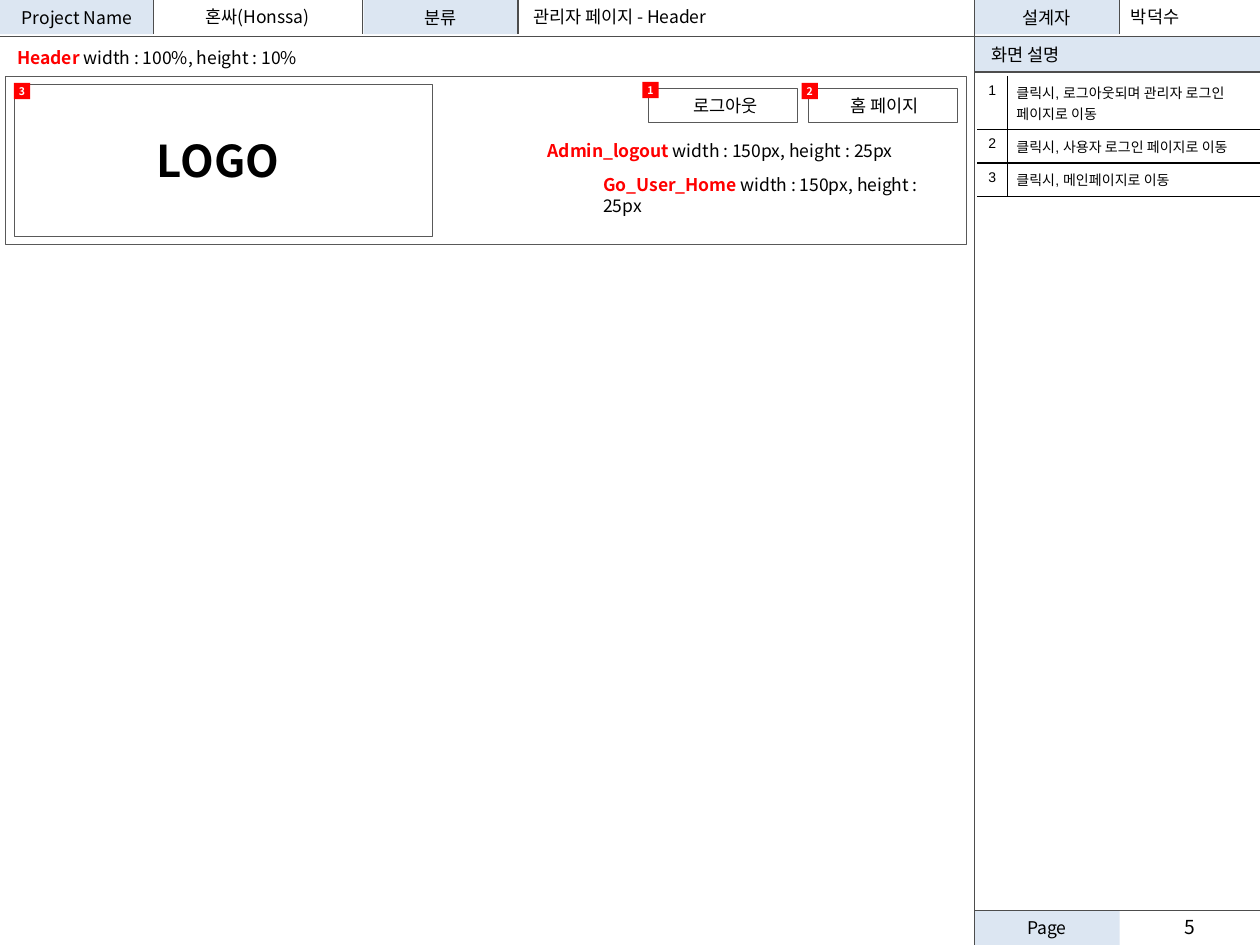
from lxml.etree import SubElement
from pptx import Presentation
from pptx.dml.color import RGBColor
from pptx.enum.shapes import MSO_CONNECTOR, MSO_SHAPE
from pptx.enum.text import MSO_ANCHOR, MSO_AUTO_SIZE, PP_ALIGN
from pptx.oxml import parse_xml
from pptx.oxml.ns import nsdecls, qn
from pptx.util import Cm, Pt

COLORS = {"label": "DCE6F2", "rule": "4D4D4D", "frame": "595959", "red": "FF0000",
          "white": "FFFFFF", "black": "000000"}
SANS = "Noto Sans CJK KR"
W, H = 25.4, 19.05
SIDE_X = 19.64
BAR_H = 0.69
LEFT, CENTER = PP_ALIGN.LEFT, PP_ALIGN.CENTER


def rgb(name):
    return RGBColor.from_string(COLORS[name])


def write(tf, *runs, size=10, font=SANS, color="black", bold=False, align=LEFT,
          anchor=MSO_ANCHOR.TOP, insets=(0.25, 0.13, 0.25, 0.13)):
    """Fill a text frame; a run is a string or a (string, colour, bold) tuple."""
    tf.word_wrap = True
    tf.auto_size = MSO_AUTO_SIZE.NONE
    tf.vertical_anchor = anchor
    tf.margin_left, tf.margin_top, tf.margin_right, tf.margin_bottom = map(Cm, insets)
    add_runs(tf, runs, size, font, color, bold, align)


def add_runs(tf, runs, size, font, color, bold, align):
    p = tf.paragraphs[0]
    p.alignment = align
    for run in runs:
        text, run_color, run_bold = (run, color, bold) if isinstance(run, str) else run
        r = p.add_run()
        r.text = text
        r.font.size, r.font.bold, r.font.name = Pt(size), run_bold, font
        r.font.color.rgb = rgb(run_color)
        SubElement(r.font._element, qn("a:ea")).set("typeface", SANS)


def add_box(s, x, y, w, h, *runs, fill=None, line=None, **fmt):
    sp = s.shapes.add_shape(MSO_SHAPE.RECTANGLE, Cm(x), Cm(y), Cm(w), Cm(h))
    sp.shadow.inherit = False
    if fill:
        sp.fill.solid()
        sp.fill.fore_color.rgb = rgb(fill)
    else:
        sp.fill.background()
    if line:
        sp.line.color.rgb = rgb(line)
        sp.line.width = Pt(0.25)
    else:
        sp.line.fill.background()
    if runs:
        write(sp.text_frame, *runs, anchor=MSO_ANCHOR.MIDDLE, **fmt)


def add_text(s, x, y, w, h, *runs, **fmt):
    sp = s.shapes.add_textbox(Cm(x), Cm(y), Cm(w), Cm(h))
    write(sp.text_frame, *runs, **fmt)


def add_rule(s, x1, y1, x2, y2):
    c = s.shapes.add_connector(MSO_CONNECTOR.STRAIGHT, Cm(x1), Cm(y1), Cm(x2), Cm(y2))
    c.line.color.rgb = rgb("rule")
    c.line.width = Pt(0.75)
    SubElement(c._element.spPr, qn("a:effectLst"))


def set_borders(cell, sides):
    """Draw the named sides (of L, R, T, B) and clear the others."""
    tc_pr = cell._tc.get_or_add_tcPr()
    for i, side in enumerate("LRTB"):
        paint = (f'<a:solidFill><a:srgbClr val="{COLORS["black"]}"/></a:solidFill>'
                 if side in sides else "<a:noFill/>")
        tc_pr.insert(i, parse_xml(
            f'<a:ln{side} {nsdecls("a")} w="9525">{paint}</a:ln{side}>'))


def add_notes_table(s, notes):
    heights = [0.91, 0.6, 0.6]
    frame = s.shapes.add_table(len(notes), 2, Cm(19.7), Cm(1.53), Cm(5.7), Cm(sum(heights)))
    table = frame.table
    table.first_row = table.horz_banding = False
    table.columns[0].width, table.columns[1].width = Cm(0.61), Cm(5.09)
    for i, note in enumerate(notes):
        table.rows[i].height = Cm(heights[i])
        columns = [(str(i + 1), CENTER, 0.1, "RB"), (note, LEFT, 0.18, "LB")]
        for j, (text, align, margin, sides) in enumerate(columns):
            cell = table.cell(i, j)
            cell.fill.background()
            cell.margin_left = cell.margin_right = Cm(margin)
            cell.margin_top = cell.margin_bottom = Cm(0.13)
            add_runs(cell.text_frame, [text], 8, "Arial", "black", False, align)
            set_borders(cell, sides + ("T" if i else ""))


def add_title(s, text):
    title = s.shapes.title
    title.left, title.top, title.width, title.height = Cm(10.5), Cm(0), Cm(7.6), Cm(BAR_H)
    write(title.text_frame, text)


def add_page_frame(s):
    labels = [("Project Name", 0, 0, 3.1), ("분류", 7.33, 0, 3.12),
              ("설계자", SIDE_X, 0, 2.93), ("Page", SIDE_X, H - BAR_H, 2.93)]
    for text, x, y, w in labels:
        add_box(s, x, y, w, BAR_H, text, fill="label", align=CENTER)
    add_box(s, SIDE_X, 0.74, W - SIDE_X, 0.72, "화면 설명", fill="label",
            insets=(0.34, 0.13, 0.25, 0.13))
    add_text(s, 3.1, 0.02, 4.19, 0.64, "혼싸(Honssa)", align=CENTER,
             anchor=MSO_ANCHOR.MIDDLE)
    add_text(s, 22.57, 18.33, 2.83, 0.72, "5", size=11, align=CENTER)
    add_text(s, 22.55, 0, 2.6, BAR_H, "박덕수")

    for x in (3.1, 7.31, 10.44, 22.57):
        add_rule(s, x, 0, x, BAR_H)
    add_rule(s, SIDE_X, 0, SIDE_X, H)
    for x, y in ((0, 0.74), (SIDE_X, 1.45), (SIDE_X, 18.35)):
        add_rule(s, x, y, W, y)


def add_size_note(s, x, y, w, name, size):
    add_text(s, x, y, w, BAR_H, (name, "red", True), size)


def add_header_mockup(s):
    add_box(s, 0.1, 1.54, 19.38, 3.38, line="frame")
    add_box(s, 0.28, 1.7, 8.43, 3.06, "LOGO", fill="white", line="frame", size=25,
            bold=True, align=CENTER, insets=(0, 0, 0.2, 0))
    for x, text in ((13.07, "로그아웃"), (16.29, "홈 페이지")):
        add_box(s, x, 1.78, 3, BAR_H, text, fill="white", line="frame", align=CENTER,
                insets=(0.1, 0, 0, 0))

    add_size_note(s, 0.1, 0.81, 8.8, "Header", " width : 100%, height : 10%")
    button_size = " width : 150px, height : 25px"
    add_size_note(s, 10.79, 2.69, 7.67, "Admin_logout", button_size)
    add_size_note(s, 11.91, 3.38, 7.67, "Go_User_Home", button_size)

    for number, x, y in (("1", 12.95, 1.65), ("2", 16.16, 1.67), ("3", 0.28, 1.67)):
        add_box(s, x, y, 0.33, 0.33, number, fill="red", size=6, color="white",
                bold=True, align=CENTER, insets=(0, 0, 0, 0))


def main():
    prs = Presentation()
    prs.slide_width, prs.slide_height = Cm(W), Cm(H)
    s = prs.slides.add_slide(prs.slide_layouts[5])
    add_title(s, "관리자 페이지 - Header")
    add_page_frame(s)
    add_notes_table(s, ["클릭시, 로그아웃되며 관리자 로그인 페이지로 이동",
                        "클릭시, 사용자 로그인 페이지로 이동",
                        "클릭시, 메인페이지로 이동"])
    add_header_mockup(s)
    prs.save("out.pptx")


if __name__ == "__main__":
    main()
